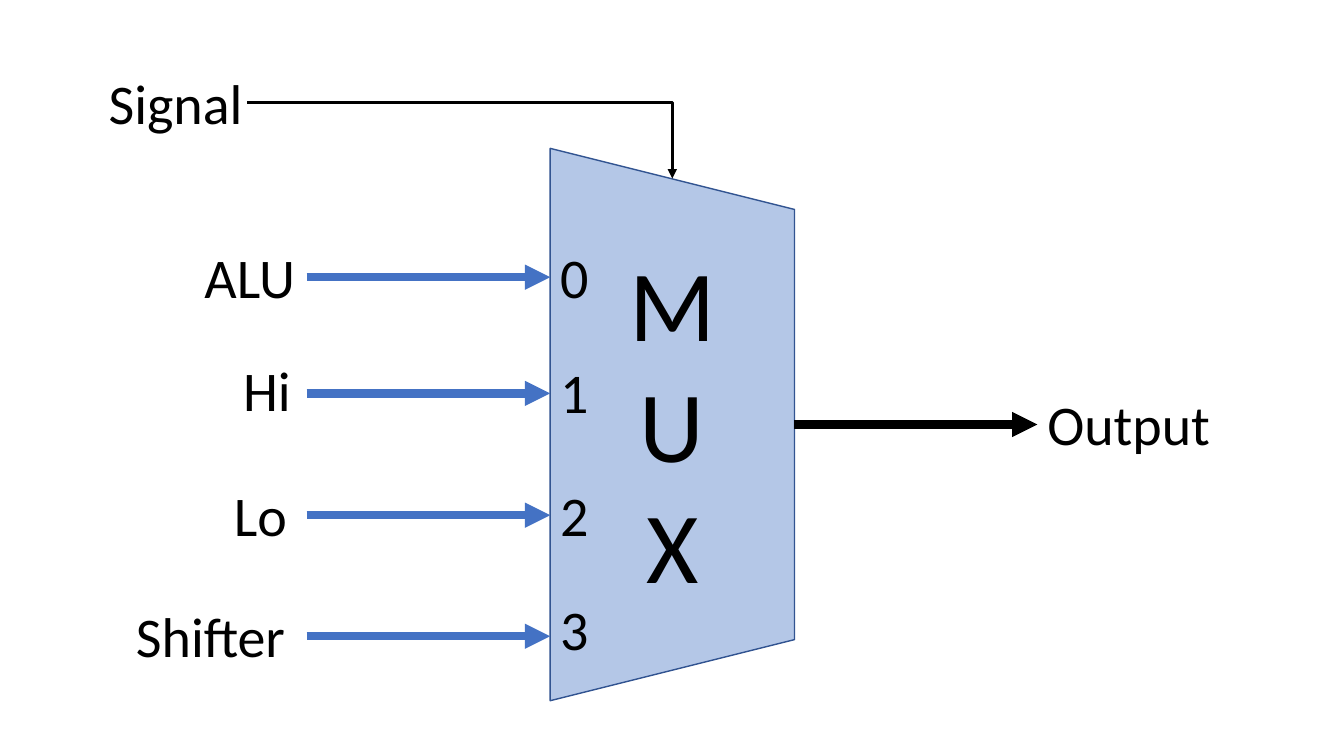
"""Build a slide with a four-input multiplexer diagram."""
import pptx
import pptx.dml.color
import pptx.enum.shapes
import pptx.enum.text
import pptx.oxml.ns
import pptx.util
from lxml import etree

Pt = pptx.util.Pt
COLORS = {"body": "B4C7E7", "outline": "325491", "input": "4472C4", "ink": "000000"}
LABEL_HEIGHT = 55.5


def rgb(name):
    """Return the named colour as an RGBColor."""
    return pptx.dml.color.RGBColor.from_string(COLORS[name])


def apply_format(target, values):
    """Set every attribute named in a dict of format values."""
    for name, value in values.items():
        setattr(target, name, value)


class DiagramSlide:
    """Holds the style and the current slide."""

    font_name = "Calibri"

    def __init__(self, slide):
        """Remember the slide to draw on."""
        self.slide = slide

    def trapezoid(self, center_x, center_y, width, height, rotation):
        """Add a rotated trapezoid around its centre."""
        shape = self.slide.shapes.add_shape(
            pptx.enum.shapes.MSO_SHAPE.TRAPEZOID,
            Pt(center_x - width / 2), Pt(center_y - height / 2), Pt(width), Pt(height))
        shape.rotation = rotation
        shape.shadow.inherit = False
        shape.fill.solid()
        shape.fill.fore_color.rgb = rgb("body")
        shape.line.color.rgb = rgb("outline")
        shape.line.width = Pt(1)

    def text(self, lines, left, top, width, height=LABEL_HEIGHT, size=40,
             wrap=False, align=pptx.enum.text.PP_ALIGN.LEFT):
        """Add a text box with one paragraph per line."""
        frame = self.slide.shapes.add_textbox(
            Pt(left), Pt(top), Pt(width), Pt(height)).text_frame
        apply_format(frame, {
            "word_wrap": wrap,
            "auto_size": pptx.enum.text.MSO_AUTO_SIZE.SHAPE_TO_FIT_TEXT,
            "text": "\n".join(lines)})
        for paragraph in frame.paragraphs:
            paragraph.alignment = align
            font = paragraph.runs[0].font
            apply_format(font, {"name": self.font_name, "size": Pt(size)})
            font.color.rgb = rgb("ink")

    def arrow(self, start, end, color="ink", weight=6, bent=False):
        """Add a straight or one-bend connector with a triangle at its end."""
        kinds = pptx.enum.shapes.MSO_CONNECTOR
        connector = self.slide.shapes.add_connector(
            kinds.ELBOW if bent else kinds.STRAIGHT,
            *(Pt(value) for value in (*start, *end)))
        connector.line.color.rgb = rgb(color)
        connector.line.width = Pt(weight)
        qn = pptx.oxml.ns.qn
        properties = connector._element.spPr
        etree.SubElement(properties.find(qn("a:ln")), qn("a:tailEnd"), type="triangle")
        etree.SubElement(properties, qn("a:effectLst"))
        if bent:
            properties.find(qn("a:prstGeom")).set("prst", "bentConnector2")


presentation = pptx.Presentation()
presentation.slide_width, presentation.slide_height = Pt(960), Pt(540)
diagram = DiagramSlide(presentation.slides.add_slide(presentation.slide_layouts[6]))

mux_x, mux_y, mux_width, mux_length = 480.25, 303.25, 174.5, 394.5
mux_left, mux_right = mux_x - mux_width / 2, mux_x + mux_width / 2
diagram.trapezoid(mux_x, mux_y, mux_length, mux_width, rotation=90)
diagram.text("MUX", 430, 168.5, 100.5, 269.5, size=72, wrap=True,
             align=pptx.enum.text.PP_ALIGN.CENTER)

# Name, label left, label top, label width, arrow height, port number top
inputs = [
    ("ALU", 139, 170, 80, 198, 170),
    ("Hi", 166.5, 250.5, 49, 281, 251.5),
    ("Lo", 160, 340, 52.5, 368, 340),
    ("Shifter", 90, 426, 123, 454.5, 421),
]
for port, (name, left, top, width, arrow_y, port_top) in enumerate(inputs):
    diagram.text([name], left, top, width)
    diagram.arrow((219, arrow_y), (mux_left, arrow_y), color="input")
    diagram.text([str(port)], mux_left, port_top, 35)

diagram.text(["Signal"], 70.5, 45.5, 111)
diagram.arrow((176.5, 73), (mux_x, 127.5), weight=2.25, bent=True)
diagram.text(["Output"], 741, 275, 132)
diagram.arrow((mux_right, mux_y), (741, mux_y))

presentation.save("out.pptx")
